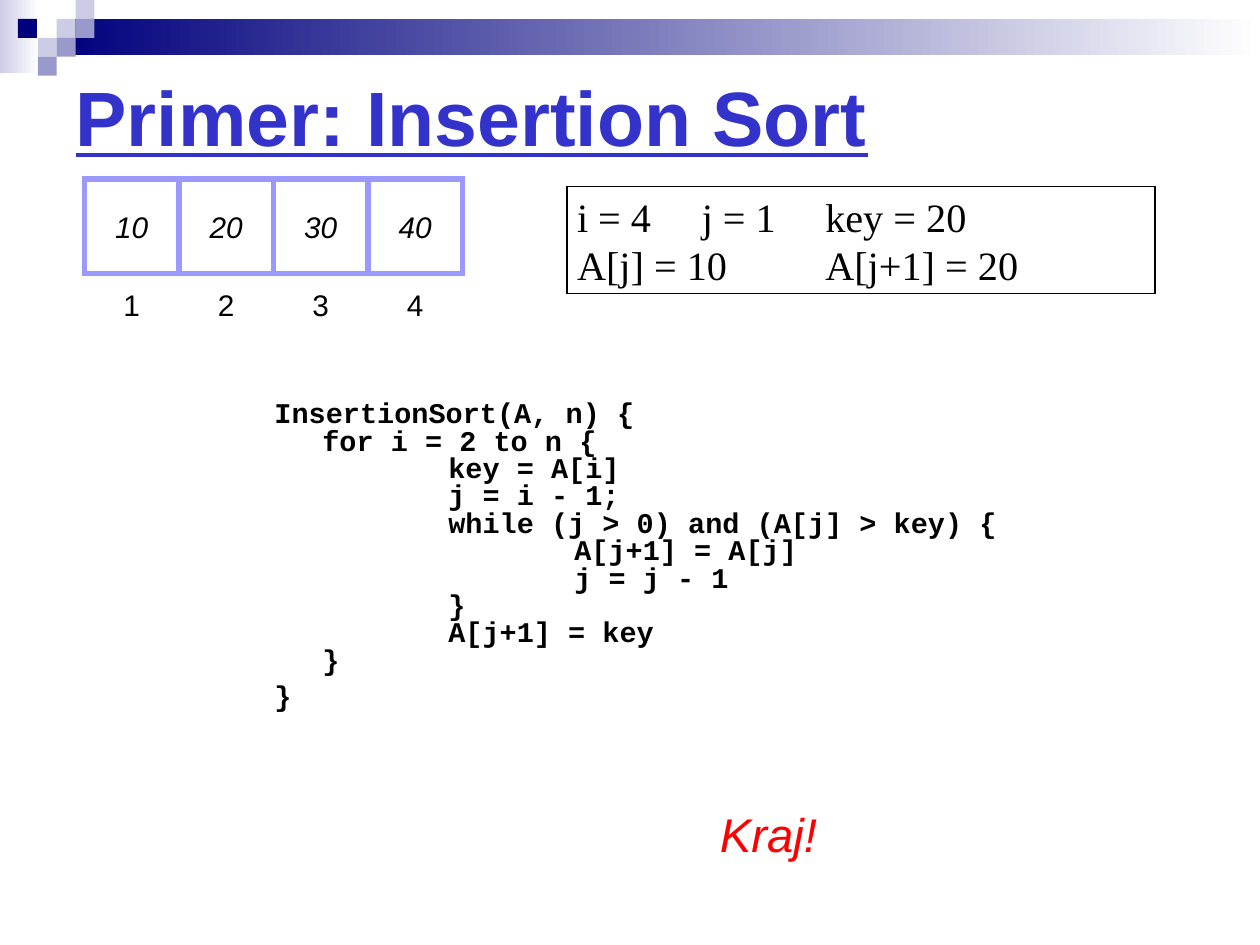
from copy import deepcopy
from dataclasses import dataclass

from lxml.etree import SubElement
from pptx import Presentation
from pptx.dml.color import RGBColor
from pptx.enum.shapes import MSO_SHAPE
from pptx.enum.text import MSO_ANCHOR, MSO_AUTO_SIZE, PP_ALIGN
from pptx.oxml.ns import qn
from pptx.util import Inches, Pt


@dataclass(frozen=True)
class Theme:
    white: str = "FFFFFF"
    black: str = "000000"
    navy: str = "00007D"
    slate: str = "9999CC"
    mist: str = "CCCCE6"
    cell_border: str = "9999FF"
    title: str = "3333CC"
    finish: str = "FF0000"
    sans: str = "Arial"
    serif: str = "Times New Roman"
    mono: str = "Courier New"
    title_size: float = 44
    cell_size: float = 17
    state_size: float = 23
    code_size: float = 16.3
    finish_size: float = 27


@dataclass(frozen=True)
class Box:
    left: float
    top: float
    width: float
    height: float

    def emu(self):
        return [Inches(n) for n in (self.left, self.top, self.width, self.height)]


THEME = Theme()

CODE = [
    "InsertionSort(A, n) {",
    "for i = 2 to n {",
    "\tkey = A[i]",
    "\tj = i - 1;",
    "\twhile (j > 0) and (A[j] > key) {",
    "\t\tA[j+1] = A[j]",
    "\t\tj = j - 1",
    "\t}",
    "\tA[j+1] = key",
    "}",
]


def add_rect(slide, box, fill, line=None, line_width=0):
    """Fill is one colour, or a pair for a left-to-right gradient."""
    rect = slide.shapes.add_shape(MSO_SHAPE.RECTANGLE, *box.emu())
    rect.shadow.inherit = False
    if isinstance(fill, tuple):
        rect.fill.gradient()
        rect.fill.gradient_angle = 0
        for stop, color in zip(rect.fill.gradient_stops, fill):
            stop.color.rgb = RGBColor.from_string(color)
    else:
        rect.fill.solid()
        rect.fill.fore_color.rgb = RGBColor.from_string(fill)
    if line:
        rect.line.color.rgb = RGBColor.from_string(line)
        rect.line.width = Pt(line_width)
        # Square corners on the border
        SubElement(rect._element.spPr.find(qn("a:ln")), qn("a:miter"), lim="800000")
    else:
        rect.line.fill.background()
    return rect


def set_frame(frame, wrap, anchor=MSO_ANCHOR.MIDDLE, inset_x=0.08, inset_y=0.04):
    frame.word_wrap = wrap
    frame.auto_size = MSO_AUTO_SIZE.NONE
    frame.vertical_anchor = anchor
    frame.margin_left = frame.margin_right = Inches(inset_x)
    frame.margin_top = frame.margin_bottom = Inches(inset_y)


def add_lines(paragraph, lines, face, size, color, bold=False, italic=False):
    """Write one run per line, with line breaks of the same size between."""
    for number, line in enumerate(lines):
        if number:
            paragraph.add_line_break()
        run = paragraph.add_run()
        run.text = line
        run.font.name = face
        run.font.size = Pt(size)
        run.font.bold = bold
        run.font.italic = italic
        run.font.color.rgb = RGBColor.from_string(color)
    for line_break in paragraph._p.findall(qn("a:br")):
        line_break.insert(0, deepcopy(run._r.rPr))
    return run


def set_tabs(paragraph, stops):
    tab_list = SubElement(paragraph._p.get_or_add_pPr(), qn("a:tabLst"))
    for stop in stops:
        SubElement(tab_list, qn("a:tab"), pos=str(Inches(stop)), algn="l")


def add_banner(slide, box):
    # Two fading bars, then squares on a 0.15 inch grid
    step = 0.15
    add_rect(slide, Box(box.left, box.top, 0.31, 0.58), (THEME.mist, THEME.white))
    bar_left = box.left + 3 * step + 0.01
    add_rect(slide, Box(bar_left, box.top + step, box.left + box.width - bar_left, 0.29),
             (THEME.navy, THEME.white))
    squares = [(3, 1, THEME.mist), (4, 0, THEME.mist), (4, 1, THEME.slate),
               (2, 2, THEME.mist), (0.95, 1, THEME.navy), (3, 2, THEME.slate),
               (2, 3, THEME.slate)]
    for column, row, color in squares:
        add_rect(slide, Box(box.left + column * step, box.top + row * step, step, step), color)


def add_title(slide, box):
    title = slide.shapes.title
    title.left, title.top, title.width, title.height = box.emu()
    set_frame(title.text_frame, True, inset_x=0.1, inset_y=0.05)
    paragraph = title.text_frame.paragraphs[0]
    paragraph.alignment = PP_ALIGN.LEFT
    run = add_lines(paragraph, ["Primer: Insertion Sort"], THEME.sans,
                    THEME.title_size, THEME.title, bold=True)
    run.font.underline = True


def add_array(slide, box, values):
    # Bordered values above, one-based indices below
    width = box.width / len(values)
    index_height = 0.33
    for index, value in enumerate(values):
        left = box.left + index * width
        cell = add_rect(slide, Box(left, box.top, width, width),
                        THEME.white, THEME.cell_border, 3)
        label_top = box.top + box.height - index_height
        label = add_rect(slide, Box(left, label_top, width, index_height), THEME.white)
        for part, text, italic in ((cell, value, True), (label, index + 1, False)):
            set_frame(part.text_frame, False)
            paragraph = part.text_frame.paragraphs[0]
            paragraph.alignment = PP_ALIGN.CENTER
            add_lines(paragraph, [str(text)], THEME.sans, THEME.cell_size,
                      THEME.black, italic=italic)


def add_state(slide, box):
    state = add_rect(slide, box, THEME.white, THEME.black, 1)
    set_frame(state.text_frame, True)
    paragraph = state.text_frame.paragraphs[0]
    paragraph.alignment = PP_ALIGN.LEFT
    set_tabs(paragraph, (0.99, 1.97))
    add_lines(paragraph, ["i = 4\tj = 1\tkey = 20", "A[j] = 10 \tA[j+1] = 20"],
              THEME.serif, THEME.state_size, THEME.black)


def add_code(slide, box):
    frame = slide.shapes.add_textbox(*box.emu()).text_frame
    set_frame(frame, True, MSO_ANCHOR.TOP, 0.1, 0.05)
    for lines in (CODE, ["}"]):
        first = lines is CODE
        paragraph = frame.paragraphs[0] if first else frame.add_paragraph()
        paragraph.line_spacing = 0.8
        if not first:
            paragraph.space_before = Pt(5.2)
        # Hanging indent: continuation lines form the function body
        properties = paragraph._p.get_or_add_pPr()
        properties.set("marL", str(Inches(0.38)))
        properties.set("indent", str(Inches(-0.38)))
        properties.set("defTabSz", str(Inches(1)))
        add_lines(paragraph, lines, THEME.mono, THEME.code_size, THEME.black, bold=True)


def add_finish(slide, box):
    frame = slide.shapes.add_textbox(*box.emu()).text_frame
    set_frame(frame, False)
    paragraph = frame.paragraphs[0]
    paragraph.alignment = PP_ALIGN.CENTER
    add_lines(paragraph, ["Kraj!"], THEME.sans, THEME.finish_size, THEME.finish, italic=True)


def main():
    deck = Presentation()
    deck.slide_width, deck.slide_height = Inches(10), Inches(7.5)
    slide = deck.slides.add_slide(deck.slide_layouts[5])
    add_banner(slide, Box(0, 0, 10, 0.6))
    add_title(slide, Box(0.5, 0.17, 9, 1.5))
    add_code(slide, Box(2.08, 3.14, 7.42, 3.28))
    add_array(slide, Box(0.67, 1.42, 3, 1.16), (10, 20, 30, 40))
    add_state(slide, Box(4.5, 1.48, 4.67, 0.85))
    add_finish(slide, Box(5.63, 6.35, 0.94, 0.53))
    deck.save("out.pptx")


if __name__ == "__main__":
    main()
